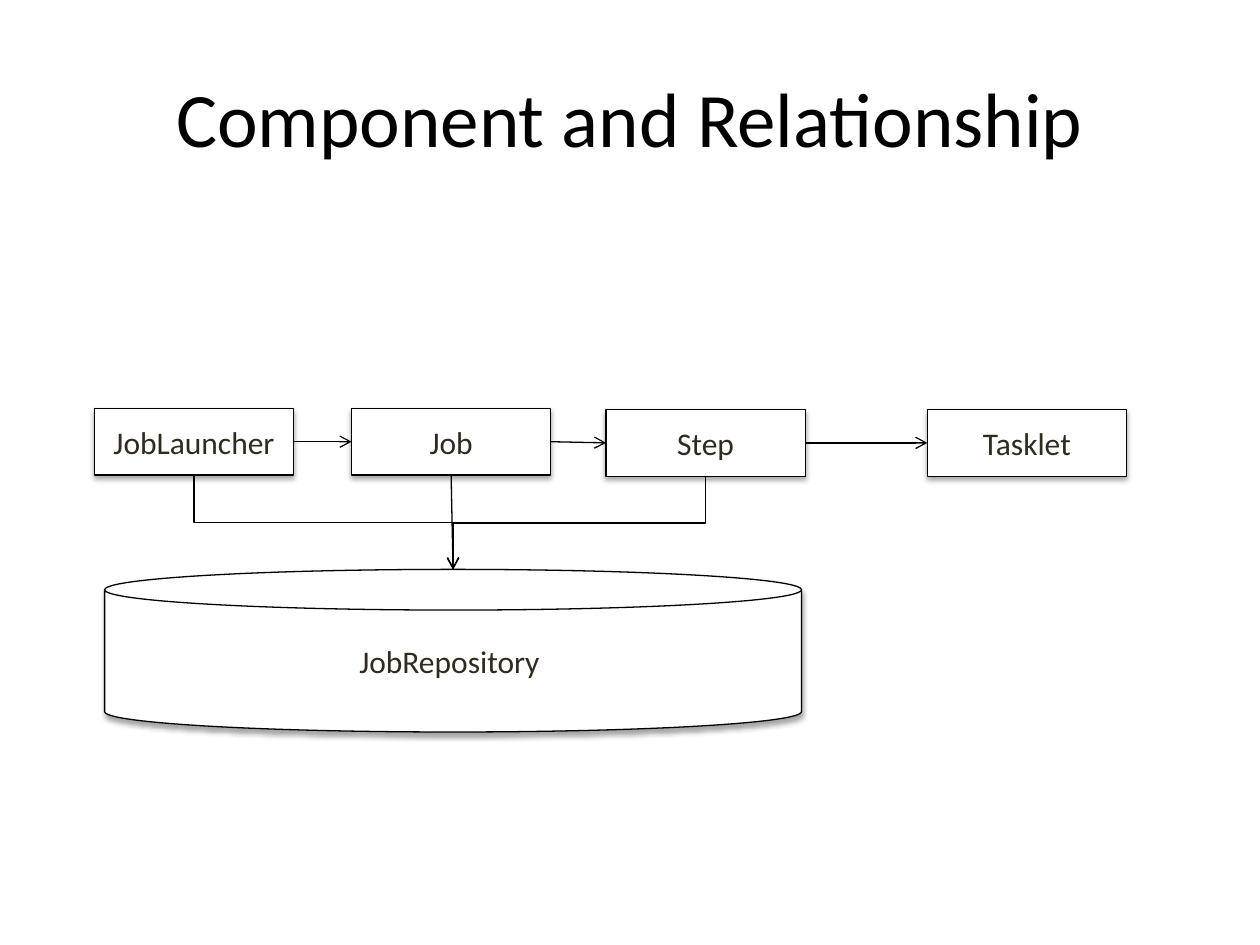
import pptx
import pptx.dml.color
import pptx.enum.shapes
import pptx.enum.text
import pptx.oxml
import pptx.oxml.ns
import pptx.util

Pt = pptx.util.Pt
qn = pptx.oxml.ns.qn
SHAPE = pptx.enum.shapes.MSO_SHAPE
CONNECTOR = pptx.enum.shapes.MSO_CONNECTOR

COLORS = {"title": "000000", "label": "2F2B20", "line": "000000", "fill": "FFFFFF"}
FONT = "Calibri"
LINE_WIDTH = 0.75
BOX_WIDTH, BOX_HEIGHT = 113.8, 38.2
# Name, left offset and top offset within the diagram
COMPONENTS = [
    ("JobLauncher", 0, 0),
    ("Job", 146.9, 0),
    ("Step", 292.3, 0.7),
    ("Tasklet", 475.9, 0.7),
]


def rgb(name):
    return pptx.dml.color.RGBColor.from_string(COLORS[name])


def write_text(shape, text, size, color):
    frame = shape.text_frame
    frame.word_wrap = True
    frame.vertical_anchor = pptx.enum.text.MSO_ANCHOR.MIDDLE
    paragraph = frame.paragraphs[0]
    paragraph.alignment = pptx.enum.text.PP_ALIGN.CENTER
    run = paragraph.add_run()
    run.text = text
    run.font.name = FONT
    run.font.size = Pt(size)
    run.font.color.rgb = rgb(color)


def style_line(line):
    line.color.rgb = rgb("line")
    line.width = Pt(LINE_WIDTH)


def add_shadow(shape):
    shape.shadow.inherit = False
    effects = shape._element.spPr.find(qn("a:effectLst"))
    effects.append(pptx.oxml.parse_xml(
        f'<a:outerShdw {pptx.oxml.ns.nsdecls("a")} blurRad="{Pt(3.1)}" '
        f'dist="{Pt(1.8)}" dir="5400000" rotWithShape="0">'
        f'<a:srgbClr val="{COLORS["line"]}"><a:alpha val="35000"/></a:srgbClr>'
        '</a:outerShdw>'))


def add_node(slide, kind, text, left, top, width, height):
    shape = slide.shapes.add_shape(kind, Pt(left), Pt(top), Pt(width), Pt(height))
    shape.fill.solid()
    shape.fill.fore_color.rgb = rgb("fill")
    style_line(shape.line)
    add_shadow(shape)
    write_text(shape, text, 18, "label")


def add_arrow(slide, kind, start, end):
    connector = slide.shapes.add_connector(kind, *(Pt(value) for value in (*start, *end)))
    style_line(connector.line)
    properties = connector._element.spPr
    properties.find(qn("a:ln")).append(pptx.oxml.parse_xml(
        f'<a:tailEnd {pptx.oxml.ns.nsdecls("a")} type="arrow"/>'))
    properties.append(pptx.oxml.parse_xml(
        f'<a:effectLst {pptx.oxml.ns.nsdecls("a")}/>'))
    return connector


def add_bent_arrow(slide, start, end):
    """Leave downwards, cross sideways, arrive downwards: an elbow turned by 90 degrees."""
    (x1, y1), (x2, y2) = start, end
    center_x, center_y = (x1 + x2) / 2, (y1 + y2) / 2
    half_width, half_height = (y2 - y1) / 2, abs(x2 - x1) / 2
    rightward = x2 > x1
    side = half_width if rightward else -half_width
    connector = add_arrow(slide, CONNECTOR.ELBOW,
                          (center_x + side, center_y - half_height),
                          (center_x - side, center_y + half_height))
    rotation = 270 if rightward else 90
    connector._element.spPr.find(qn("a:xfrm")).set("rot", str(rotation * 60000))


def add_title(slide, left, top, width, height):
    box = slide.shapes.add_textbox(Pt(left), Pt(top), Pt(width), Pt(height))
    write_text(box, "Component and Relationship", 44, "title")


def add_diagram(slide, left, top):
    # Repository below the components
    can_left, can_top, can_width = left + 5.8, top + 192.1 - 100, 398.2
    add_node(slide, SHAPE.CAN, "JobRepository ", can_left, can_top, can_width, 92.9)

    # Row of components
    corners = [(left + x, top + y) for _, x, y in COMPONENTS]
    for (name, _, _), (x, y) in zip(COMPONENTS, corners):
        add_node(slide, SHAPE.RECTANGLE, name, x, y, BOX_WIDTH, BOX_HEIGHT)

    # Arrows from each component to the next
    for (x1, y1), (x2, y2) in zip(corners, corners[1:]):
        add_arrow(slide, CONNECTOR.STRAIGHT,
                  (x1 + BOX_WIDTH, y1 + BOX_HEIGHT / 2), (x2, y2 + BOX_HEIGHT / 2))

    # Arrows from the first three components to the repository
    target = (can_left + can_width / 2, can_top)
    launcher, job, step = [(x + BOX_WIDTH / 2, y + BOX_HEIGHT) for x, y in corners[:3]]
    add_bent_arrow(slide, launcher, target)
    add_arrow(slide, CONNECTOR.STRAIGHT, job, target)
    add_bent_arrow(slide, step, target)


def main():
    presentation = pptx.Presentation()
    presentation.slide_width, presentation.slide_height = Pt(720), Pt(540)
    slide = presentation.slides.add_slide(presentation.slide_layouts[6])
    add_title(slide, 36, 21.6, 648, 90)
    add_diagram(slide, 54, 233.3)
    presentation.save("out.pptx")


if __name__ == "__main__":
    main()
